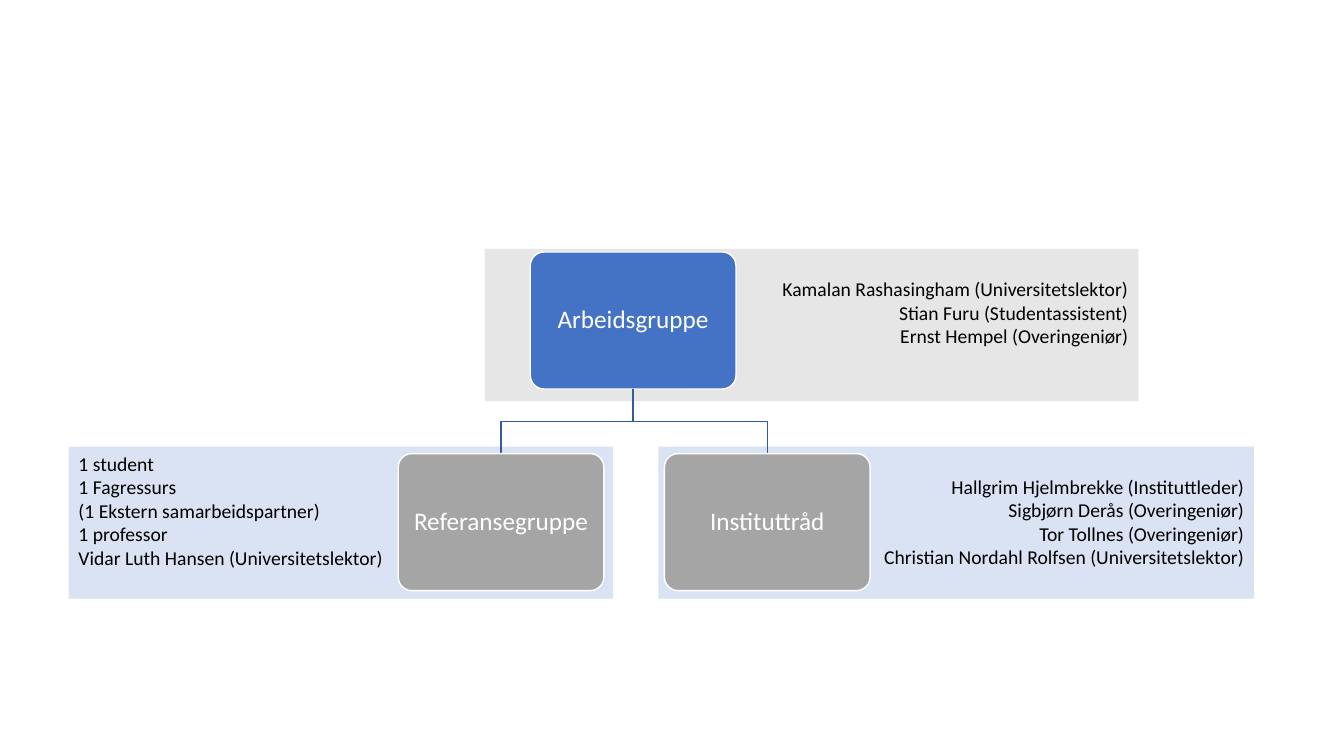
import pptx
import pptx.util
import pptx.dml.color
import pptx.enum.shapes
import pptx.enum.text

Inches = pptx.util.Inches
Pt = pptx.util.Pt
ALIGN = pptx.enum.text.PP_ALIGN
ANCHOR = pptx.enum.text.MSO_ANCHOR
SHAPE = pptx.enum.shapes.MSO_SHAPE

COLORS = {"pale_blue": "DAE3F3", "pale_gray": "E7E6E6", "blue": "4472C4",
          "gray": "A5A5A5", "line": "365B9D", "white": "FFFFFF", "black": "000000"}

PANELS = [
    {"left": 0.68, "top": 4.43, "width": 5.4, "fill": "pale_blue",
     "align": ALIGN.LEFT, "inset": 0.05,
     "members": ["1 student", "1 Fagressurs", "(1 Ekstern samarbeidspartner)",
                 "1 professor", "Vidar Luth Hansen (Universitetslektor)"]},
    {"left": 6.53, "top": 4.43, "width": 5.91, "fill": "pale_blue",
     "align": ALIGN.RIGHT, "inset": 0.28,
     "members": ["Hallgrim Hjelmbrekke (Instituttleder)", "Sigbjørn Derås (Overingeniør)",
                 "Tor Tollnes (Overingeniør)",
                 "Christian Nordahl Rolfsen (Universitetslektor)"]},
    {"left": 4.81, "top": 2.47, "width": 6.48, "fill": "pale_gray",
     "align": ALIGN.RIGHT, "inset": 0.28,
     "members": ["Kamalan Rashasingham (Universitetslektor)",
                 "Stian Furu (Studentassistent)", "Ernst Hempel (Overingeniør)"]},
]
PARENT = ("Arbeidsgruppe", 5.26, 2.5, "blue")
CHILDREN = [("Referansegruppe", 3.95, 4.5, "gray"), ("Instituttråd", 6.59, 4.5, "gray")]
PANEL_HEIGHT = 1.51
BOX_WIDTH, BOX_HEIGHT = 2.04, 1.36


def color(name):
    return pptx.dml.color.RGBColor.from_string(COLORS[name])


def add_block(slide, kind, left, top, width, height, fill):
    shape = slide.shapes.add_shape(kind, Inches(left), Inches(top),
                                   Inches(width), Inches(height))
    shape.shadow.inherit = False
    shape.fill.solid()
    shape.fill.fore_color.rgb = color(fill)
    shape.line.fill.background()
    return shape


def write_lines(shape, lines, size, font_color, align, anchor):
    frame = shape.text_frame
    frame.word_wrap = True
    frame.vertical_anchor = anchor
    frame.text = "\n".join(lines)
    for paragraph in frame.paragraphs:
        paragraph.alignment = align
        paragraph.font.name = "Calibri"
        paragraph.font.size = Pt(size)
        paragraph.font.color.rgb = color(font_color)


def add_panel(slide, panel):
    shape = add_block(slide, SHAPE.RECTANGLE, panel["left"], panel["top"],
                      panel["width"], PANEL_HEIGHT, panel["fill"])
    write_lines(shape, panel["members"], 14, "black", panel["align"], ANCHOR.TOP)
    shape.text_frame.margin_top = Inches(panel["inset"])


def add_group_box(slide, label, left, top, fill):
    shape = add_block(slide, SHAPE.ROUNDED_RECTANGLE, left, top, BOX_WIDTH, BOX_HEIGHT, fill)
    shape.adjustments[0] = 0.1
    shape.line.color.rgb = color("white")
    shape.line.width = Pt(1)
    write_lines(shape, [label], 18, "white", ALIGN.CENTER, ANCHOR.MIDDLE)
    shape.text_frame.margin_left = shape.text_frame.margin_right = Inches(0.07)
    shape.text_frame.paragraphs[0].line_spacing = 0.9


def add_branch(slide, parent, child):
    start_x, end_x = (box[1] + BOX_WIDTH / 2 for box in (parent, child))
    start_y, end_y = parent[2] + BOX_HEIGHT, child[2]
    middle_y = (start_y + end_y) / 2
    builder = slide.shapes.build_freeform(Inches(start_x), Inches(start_y))
    corners = [(start_x, middle_y), (end_x, middle_y), (end_x, end_y)]
    builder.add_line_segments([(Inches(x), Inches(y)) for x, y in corners], close=False)
    shape = builder.convert_to_shape()
    shape.shadow.inherit = False
    shape.fill.background()
    shape.line.color.rgb = color("line")
    shape.line.width = Pt(1)


def main():
    presentation = pptx.Presentation()
    presentation.slide_width = Inches(13.33)
    presentation.slide_height = Inches(7.5)
    slide = presentation.slides.add_slide(presentation.slide_layouts[6])
    for panel in PANELS:
        add_panel(slide, panel)
    add_group_box(slide, *PARENT)
    for child in CHILDREN:
        add_branch(slide, PARENT, child)
        add_group_box(slide, *child)
    presentation.save("out.pptx")


if __name__ == "__main__":
    main()
